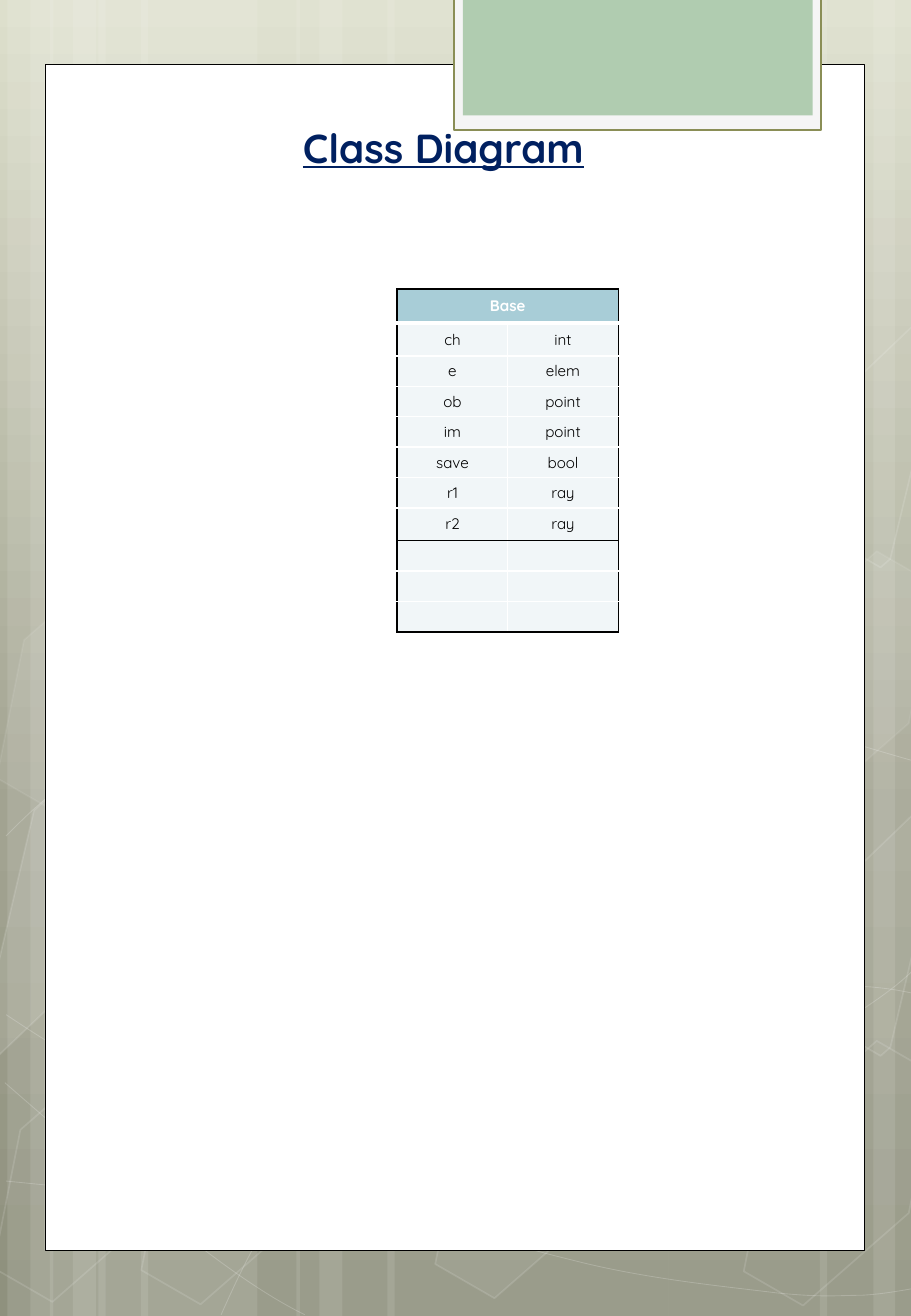
from copy import deepcopy
from dataclasses import dataclass

from lxml import etree
from pptx import Presentation
from pptx.dml.color import RGBColor
from pptx.enum.shapes import MSO_SHAPE
from pptx.enum.text import MSO_ANCHOR, PP_ALIGN
from pptx.oxml.ns import qn
from pptx.util import Inches, Pt

RECT, HEXAGON = MSO_SHAPE.RECTANGLE, MSO_SHAPE.HEXAGON
CENTER, MIDDLE = PP_ALIGN.CENTER, MSO_ANCHOR.MIDDLE


@dataclass(frozen=True)
class Theme:
    """Colours, font and type sizes of the slide."""
    font: str = "Quicksand"
    title_size: float = 24
    cell_size: float = 9
    title: str = "002060"
    ink: str = "000000"
    white: str = "FFFFFF"
    tab_frame: str = "F5F5F5"
    tab_line: str = "8A8E56"
    tab: str = "B0CCB0"
    header: str = "A8CDD7"
    body: str = "F1F6F8"
    backdrop: tuple = ((0, "DDDFCC"), (0.62, "A2A391"), (1, "8F917E"))


THEME = Theme()
WIDTH, HEIGHT = 7.5, 10.83
BANDS = [(0.81, 1.31), (0.06, 0.38), (0.25, 0.62), (1.16, 1.31),
         (0.41, 0.38), (0.6, 0.62), (5.5, 1.31), (7.19, 0.38),
         (6.75, 0.62), (3.19, 2.31), (2.44, 0.38), (2.63, 0.62)]
CURVES = [
    [(0.05, 9.72), (0.46, 9.76), (0.86, 9.81), (1.43, 9.79), (1.99, 9.77),
     (2.68, 9.75), (3.43, 9.6), (4.19, 9.46), (5.25, 9.19), (5.94, 8.91),
     (6.62, 8.64), (7.33, 8.2), (7.55, 7.95)],
    [(0.05, 6.88), (0.27, 6.66), (0.49, 6.44), (0.91, 6.23), (1.34, 6.01),
     (1.94, 5.7), (2.61, 5.59), (3.27, 5.48), (4.08, 5.48), (4.9, 5.59),
     (5.73, 5.7), (7.1, 6.15), (7.55, 6.27)],
    [(0.04, 8.91), (0.95, 9.7), (1.85, 10.5), (2.51, 10.82)],
    [(0.05, 8.35), (0.29, 8.51), (0.52, 8.66), (0.96, 8.89), (1.4, 9.12),
     (2.05, 9.47), (2.67, 9.72), (3.3, 9.96), (4.09, 10.22), (4.71, 10.37),
     (5.33, 10.53), (6, 10.59), (6.39, 10.64), (6.79, 10.68), (6.89, 10.66),
     (7.09, 10.66), (7.28, 10.65), (7.42, 10.62), (7.55, 10.6)],
    [(1.82, 10.82), (1.95, 10.53), (2.08, 10.25), (2.26, 9.98), (2.45, 9.71),
     (2.7, 9.43), (2.91, 9.23), (3.12, 9.03), (3.25, 8.94), (3.52, 8.8),
     (3.8, 8.65), (4.3, 8.44), (4.56, 8.35), (4.83, 8.25), (4.87, 8.25),
     (5.1, 8.22), (5.33, 8.18), (5.7, 8.14), (5.96, 8.12), (6.21, 8.11),
     (6.65, 8.12), (6.65, 8.12), (6.81, 8.12), (6.98, 8.12), (7.14, 8.12),
     (7.28, 8.13), (7.41, 8.15), (7.54, 8.18)],
]
HEXAGONS = [(2.51, 0.51, 4, 8), (3.72, 8.5, 6, 12), (0.08, 8.53, 0, 12),
            (0.11, 4.5, 7, 8), (0.7, 6.52, 0, 12), (1.3, 8.55, 0, 12),
            (0.72, 2.47, 0, 12), (5.65, 6.55, 10, 12), (6.26, 8.56, 0, 12),
            (6.26, 4.53, 7, 8)]
CUT_HEXAGONS = [
    ([(0.28, 6.67), (0.41, 6.55), (0.98, 6.88), (0.72, 7.99), (-0.11, 8.78),
      (-0.2, 8.73)], 10),
    ([(6.95, 7.25), (7.77, 6.46), (7.83, 6.5), (7.33, 8.62), (7.25, 8.69),
      (6.68, 8.36)], 4),
    ([(6.94, 3.23), (7.77, 2.44), (7.84, 2.48), (7.33, 4.6), (7.25, 4.67),
      (6.68, 4.34)], 0),
]
MEMBERS = [("Base", ""), ("ch", "int"), ("e", "elem"), ("ob", "point"),
           ("im", "point"), ("save", "bool"), ("r1", "ray"), ("r2", "ray"),
           ("", ""), ("", ""), ("", "")]
ROW_HEIGHTS = [0.28, 0.27] + [0.25] * 5 + [0.27] + [0.25] * 3
LAST_FIELD = 7


def write(tf, text, size=THEME.cell_size, color=THEME.ink, bold=False, underline=False):
    """Put one centred, formatted run into a text frame."""
    p = tf.paragraphs[0]
    p.alignment = CENTER
    if not text:
        etree.SubElement(p._p, qn("a:endParaRPr"), sz=str(int(size * 100)))
        return
    r = p.add_run()
    r.text = text
    r.font.name, r.font.size = THEME.font, Pt(size)
    r.font.bold, r.font.underline = bold, underline
    r.font.color.rgb = RGBColor.from_string(color)


def paint(fill, color, alpha=100):
    """Fill with a solid colour of the given opacity, or with nothing."""
    if not color or not alpha:
        fill.background()
        return
    fill.solid()
    fill.fore_color.rgb = RGBColor.from_string(color)
    if alpha < 100:
        srgb = fill._xPr.find(".//" + qn("a:srgbClr"))
        etree.SubElement(srgb, qn("a:alpha"), val=str(alpha * 1000))


def style(sp, fill=None, alpha=100, line=None, width=1, line_alpha=100):
    """Give a shape its fill and outline, without a shadow."""
    sp.shadow.inherit = False
    paint(sp.fill, fill, alpha)
    paint(sp.line.fill, line, line_alpha)
    if line:
        sp.line.width = Pt(width)


def add_box(s, x, y, w, h, kind=RECT, **look):
    """Add a styled preset shape."""
    sp = s.shapes.add_shape(kind, Inches(x), Inches(y), Inches(w), Inches(h))
    style(sp, **look)
    return sp


def add_outline(s, points, close, **look):
    """Add a styled freeform through the points."""
    spots = [(Inches(x), Inches(y)) for x, y in points]
    builder = s.shapes.build_freeform(*spots[0])
    builder.add_line_segments(spots[1:], close=close)
    sp = builder.convert_to_shape()
    style(sp, **look)
    return sp


def add_curve(s, points, **look):
    """Add an open chain of cubic curves, three points to a segment."""
    sp = add_outline(s, points, False, **look)
    outline = sp._element.find(".//" + qn("a:path"))
    segments = outline.findall(qn("a:lnTo"))
    for i in range(0, len(segments), 3):
        cubic = etree.SubElement(outline, qn("a:cubicBezTo"))
        for segment in segments[i:i + 3]:
            cubic.append(segment[0])
            outline.remove(segment)


def add_gradient(layout):
    """Give the layout its vertical three-colour background."""
    fill = layout.background.fill
    fill.gradient()
    fill.gradient_angle = 270
    stop_list = layout.element.find(".//" + qn("a:gsLst"))
    stop_list.append(deepcopy(stop_list[-1]))
    for stop, (position, color) in zip(fill.gradient_stops, THEME.backdrop):
        stop.position = position
        stop.color.rgb = RGBColor.from_string(color)


def add_backdrop(s):
    """Draw the bands, curves, hexagons, page and tab."""
    for x, w in BANDS:
        add_box(s, x, 0, w, HEIGHT, fill=THEME.white, alpha=10)
    for points in CURVES:
        add_curve(s, points, line=THEME.white, width=0.5, line_alpha=20)
    for x, y, alpha, line_alpha in HEXAGONS:
        sp = add_box(s, x, y, 1.31, 2.19, HEXAGON, fill=THEME.white, alpha=alpha,
                     line=THEME.white, line_alpha=line_alpha)
        sp.adjustments[0] = 0.285
        sp.rotation = 30
    for points, alpha in CUT_HEXAGONS:
        add_outline(s, points, True, fill=THEME.white, alpha=alpha,
                    line=THEME.white, line_alpha=12)
    add_box(s, 0.37, 0.53, 6.75, 9.76, fill=THEME.white, line=THEME.ink, width=0.5)
    add_box(s, 3.74, -0.03, 3.02, 1.1, fill=THEME.tab_frame, line=THEME.tab_line, width=1.25)
    add_box(s, 3.81, -0.03, 2.88, 0.98, fill=THEME.tab)


def move_to_layout(s):
    """Hand the decoration over to the slide layout, with fresh shape ids."""
    decoration = [sp for sp in s.shapes if not sp.is_placeholder]
    for number, sp in enumerate(decoration, 100):
        sp._element.nvSpPr.cNvPr.set("id", str(number))
        s.slide_layout.shapes._spTree.append(sp._element)


def add_title(s, text):
    """Place the title and write the heading."""
    sp = s.shapes.title
    sp.left, sp.top, sp.width, sp.height = map(Inches, (2.37, 0.96, 2.56, 0.5))
    sp.text_frame.word_wrap = False
    sp.text_frame.vertical_anchor = MIDDLE
    write(sp.text_frame, text, size=THEME.title_size, color=THEME.title,
          bold=True, underline=True)


def add_border(cell, side, color, width=1):
    """Draw one edge of a table cell."""
    ln = etree.SubElement(cell._tc.get_or_add_tcPr(), qn("a:ln" + side), w=str(Pt(width)))
    etree.SubElement(etree.SubElement(ln, qn("a:solidFill")), qn("a:srgbClr"), val=color)


def add_class_table(s):
    """Add the class box: a merged header, the fields and the empty rows."""
    table = s.shapes.add_table(len(MEMBERS), 2, Inches(3.27), Inches(2.38),
                               Inches(1.82), Inches(sum(ROW_HEIGHTS))).table
    table.first_row = table.horz_banding = False
    table.cell(0, 0).merge(table.cell(0, 1))
    last = len(MEMBERS) - 1
    for i, (row, height) in enumerate(zip(MEMBERS, ROW_HEIGHTS)):
        table.rows[i].height = Inches(height)
        header = i == 0
        for j, text in enumerate(row):
            cell = table.cell(i, j)
            cell.margin_top = cell.margin_bottom = Inches(0.04)
            cell.vertical_anchor = MIDDLE
            black = {"L": j == 0, "R": j == 1 or header,
                     "T": i in (0, LAST_FIELD + 1), "B": i in (LAST_FIELD, last)}
            for side, dark in black.items():
                thick = (side, i) in (("B", 0), ("T", 1))
                add_border(cell, side, THEME.ink if dark else THEME.white, 3 if thick else 1)
            paint(cell.fill, THEME.header if header else THEME.body)
            write(cell.text_frame, text, bold=header,
                  color=THEME.white if header else THEME.ink)


def main():
    """Build the slide and save it."""
    prs = Presentation()
    prs.slide_width, prs.slide_height = Inches(WIDTH), Inches(HEIGHT)
    s = prs.slides.add_slide(prs.slide_layouts[5])
    add_gradient(s.slide_layout)
    add_backdrop(s)
    move_to_layout(s)
    add_title(s, "Class Diagram")
    add_class_table(s)
    prs.save("out.pptx")


if __name__ == "__main__":
    main()
